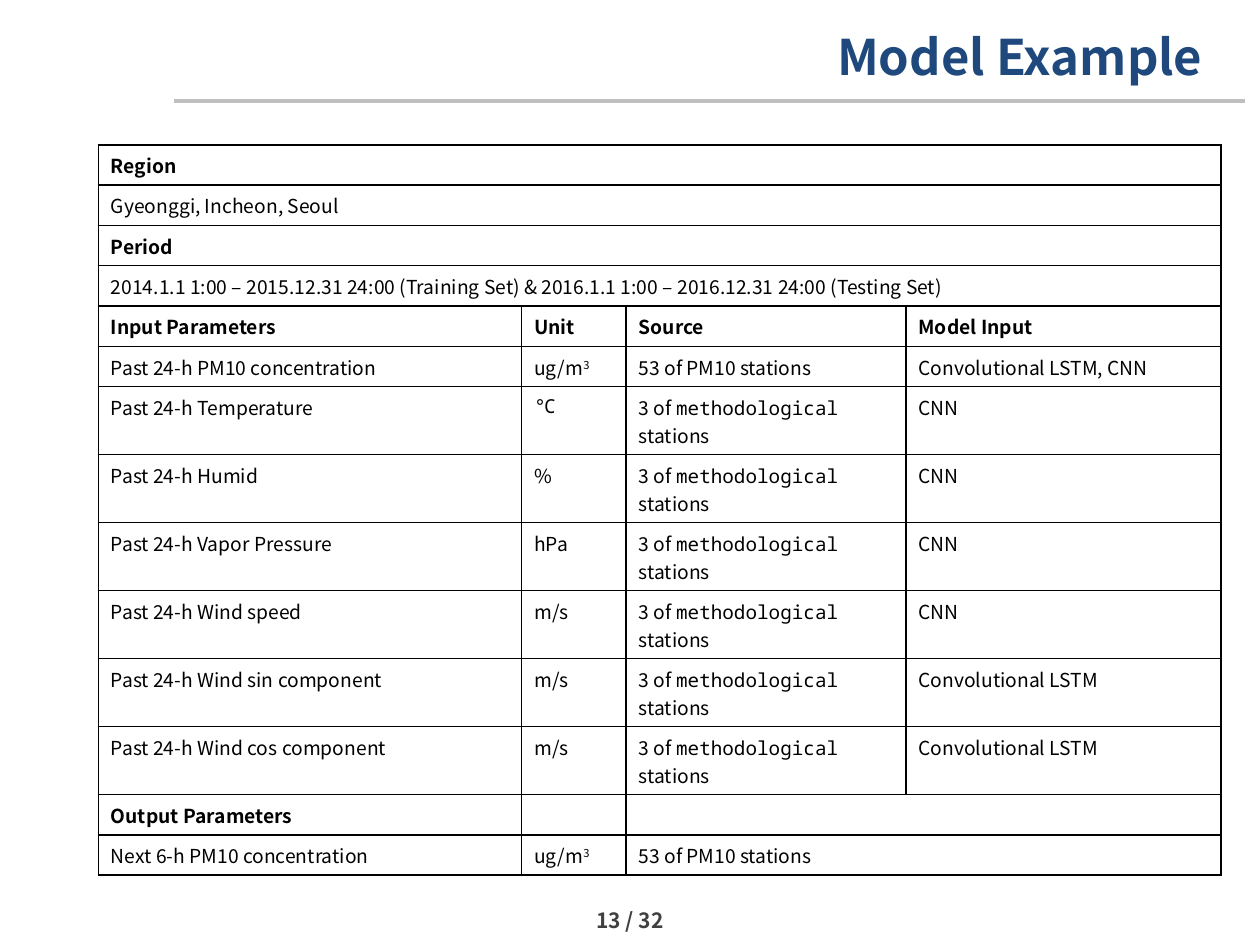
"""Build the model example slide with its table of regions, periods and parameters."""
from typing import Any, NamedTuple

from lxml import etree
from pptx import Presentation
from pptx import util as u
from pptx.dml.color import RGBColor
from pptx.enum import shapes, text
from pptx.oxml import ns

SANS, MONO = "Noto Sans CJK KR", "Noto Sans Mono"
BODY_SIZE = 11
ONE_LINE, TWO_LINES = 0.32, 0.54
COLUMN_WIDTHS = (3.36, 0.83, 2.22, 2.5)


class Run(NamedTuple):
    wording: str
    font: str = SANS
    raised: bool = False


class Row(NamedTuple):
    cells: tuple[tuple[Run, ...], ...]
    bold: bool = False
    height: float = ONE_LINE


class Parameter(NamedTuple):
    name: str
    unit: Run
    model: str


def colour(value: str) -> RGBColor:
    """Turn a hex string into a colour."""
    return RGBColor.from_string(value)


def apply(target: Any, values: dict[str, Any]) -> None:
    """Set each named attribute on the target."""
    for name, value in values.items():
        setattr(target, name, value)


def write(paragraph: Any, runs: tuple[Run, ...], size: float, bold: bool, hue: str) -> None:
    """Add formatted runs to a paragraph."""
    for part in runs:
        run = paragraph.add_run()
        run.text = part.wording
        apply(run.font, {"name": part.font, "size": u.Pt(size), "bold": bold})
        run.font.color.rgb = colour(hue)
        east_asian = etree.SubElement(run.font._element, ns.qn("a:ea"))
        east_asian.set("typeface", part.font)
        if part.raised:
            run.font._element.set("baseline", "30000")
    if not runs:
        paragraph._p.get_or_add_endParaRPr().set("sz", str(size * 100))


def outline(cell: Any) -> None:
    """Draw a thin black border round a cell and leave it unfilled."""
    properties = cell._tc.get_or_add_tcPr()
    for side in "LRTB":
        edge = etree.SubElement(properties, ns.qn(f"a:ln{side}"), w=str(u.Pt(1)))
        fill = etree.SubElement(edge, ns.qn("a:solidFill"))
        etree.SubElement(fill, ns.qn("a:srgbClr"), val="000000")
    cell.fill.background()


def plain(*words: str) -> tuple[tuple[Run, ...], ...]:
    """Make one single-run cell for each wording."""
    return tuple((Run(word),) for word in words)


def add_title(slide: Any, wording: str) -> None:
    """Place the right-aligned title."""
    title = slide.shapes.title
    apply(title, {"left": u.Inches(1), "top": u.Inches(0.21),
                  "width": u.Inches(8.73), "height": u.Inches(0.45)})
    apply(title.text_frame, {"vertical_anchor": text.MSO_ANCHOR.TOP, "margin_top": 0,
                             "margin_bottom": 0, "auto_size": text.MSO_AUTO_SIZE.NONE})
    heading = title.text_frame.paragraphs[0]
    heading.alignment = text.PP_ALIGN.RIGHT
    write(heading, (Run(wording),), 28, True, "1F497D")


def add_rule(slide: Any) -> None:
    """Draw the grey rule under the title."""
    rule = slide.shapes.add_connector(shapes.MSO_CONNECTOR.STRAIGHT, u.Inches(1.38),
                                      u.Inches(0.8), u.Inches(9.88), u.Inches(0.8))
    rule.line.color.rgb = colour("BFBFBF")
    rule.line.width = u.Pt(2.25)
    etree.SubElement(rule._element.spPr, ns.qn("a:effectLst"))


def add_page_number(slide: Any, wording: str) -> None:
    """Place the centred page number."""
    box = slide.shapes.add_textbox(u.Inches(4.49), u.Inches(7.14), u.Inches(1.02), u.Inches(0.32))
    apply(box.text_frame, {"word_wrap": True, "vertical_anchor": text.MSO_ANCHOR.MIDDLE})
    number = box.text_frame.paragraphs[0]
    number.alignment = text.PP_ALIGN.CENTER
    write(number, (Run(wording),), 12, True, "404040")


def add_parameter_table(slide: Any, rows: list[Row]) -> None:
    """Build the table, stretching the last cell of a short row to the right edge."""
    table = slide.shapes.add_table(
        len(rows), len(COLUMN_WIDTHS), u.Inches(0.78), u.Inches(1.15),
        u.Inches(sum(COLUMN_WIDTHS)), u.Inches(sum(row.height for row in rows))).table
    apply(table, {"first_row": False, "horz_banding": False})
    for column, width in zip(table.columns, COLUMN_WIDTHS):
        column.width = u.Inches(width)
    last_column = len(COLUMN_WIDTHS) - 1
    for index, row in enumerate(rows):
        table.rows[index].height = u.Inches(row.height)
        for cell in table.rows[index].cells:
            outline(cell)
        for position, runs in enumerate(row.cells):
            cell = table.cell(index, position)
            write(cell.text_frame.paragraphs[0], runs, BODY_SIZE, row.bold, "000000")
        final = len(row.cells) - 1
        if final < last_column:
            table.cell(index, final).merge(table.cell(index, last_column))


CONCENTRATION_UNIT = (Run("ug/m"), Run("3", raised=True))
PM10_STATIONS = (Run("53 of PM10 stations"),)
WEATHER_STATIONS = (Run("3 of "), Run("methodological", MONO), Run(" stations"))
WEATHER_PARAMETERS = (
    Parameter("Temperature", Run("℃", MONO), "CNN"),
    Parameter("Humid", Run("%"), "CNN"),
    Parameter("Vapor Pressure", Run("hPa"), "CNN"),
    Parameter("Wind speed", Run("m/s"), "CNN"),
    Parameter("Wind sin component", Run("m/s"), "Convolutional LSTM"),
    Parameter("Wind cos component", Run("m/s"), "Convolutional LSTM"),
)
ROWS = [
    Row(plain("Region"), bold=True),
    Row(plain("Gyeonggi, Incheon, Seoul")),
    Row(plain("Period"), bold=True),
    Row(plain("2014.1.1 1:00 – 2015.12.31 24:00 (Training Set) & "
              "2016.1.1 1:00 – 2016.12.31 24:00 (Testing Set)")),
    Row(plain("Input Parameters", "Unit", "Source", "Model Input"), bold=True),
    Row(((Run("Past 24-h PM10 concentration"),), CONCENTRATION_UNIT, PM10_STATIONS,
         (Run("Convolutional LSTM, CNN"),))),
    *(Row(((Run(f"Past 24-h {item.name}"),), (item.unit,), WEATHER_STATIONS,
           (Run(item.model),)), height=TWO_LINES) for item in WEATHER_PARAMETERS),
    Row(((Run("Output Parameters"),), (), ()), bold=True),
    Row(((Run("Next 6-h PM10 concentration"),), CONCENTRATION_UNIT, PM10_STATIONS)),
]


def main() -> None:
    """Assemble and save the slide."""
    deck = Presentation()
    apply(deck, {"slide_width": u.Inches(10), "slide_height": u.Inches(7.5)})
    slide = deck.slides.add_slide(deck.slide_layouts[5])
    add_rule(slide)
    add_title(slide, "Model Example ")
    add_page_number(slide, "13 / 32")
    add_parameter_table(slide, ROWS)
    deck.save("out.pptx")


if __name__ == "__main__":
    main()
